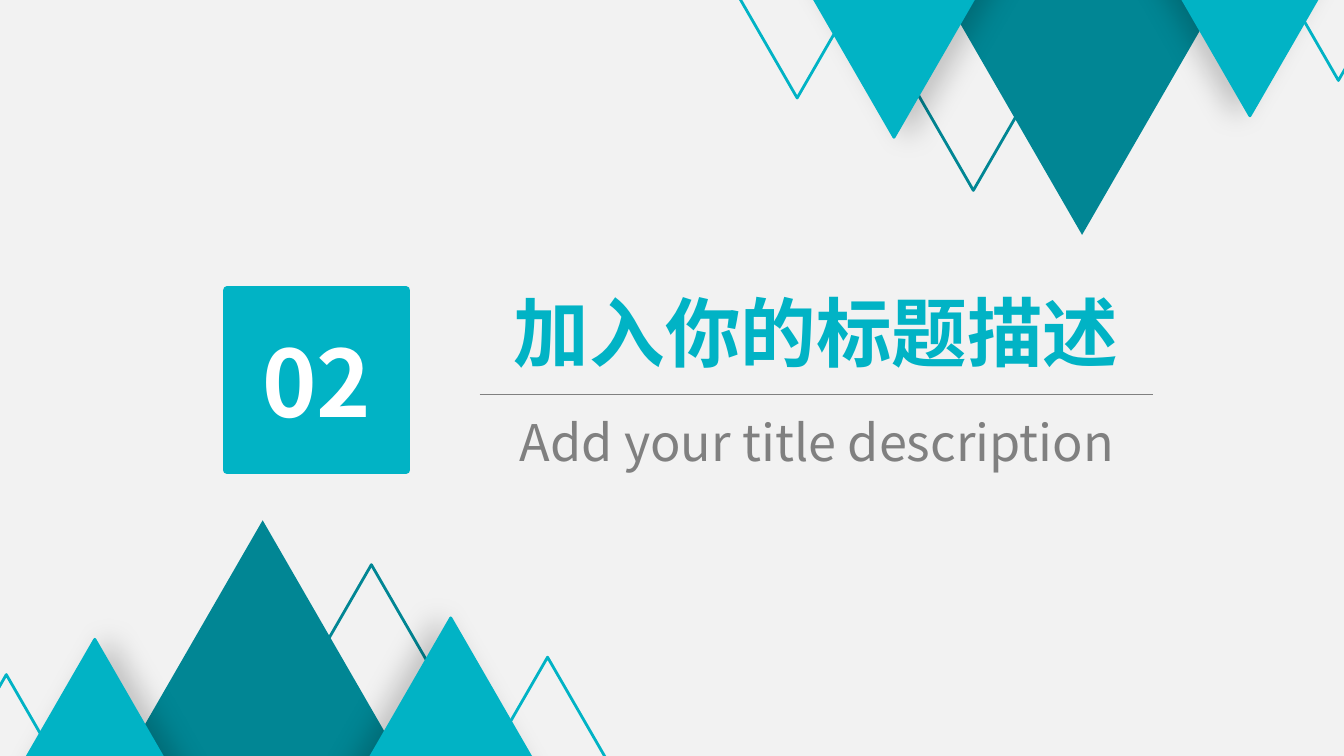
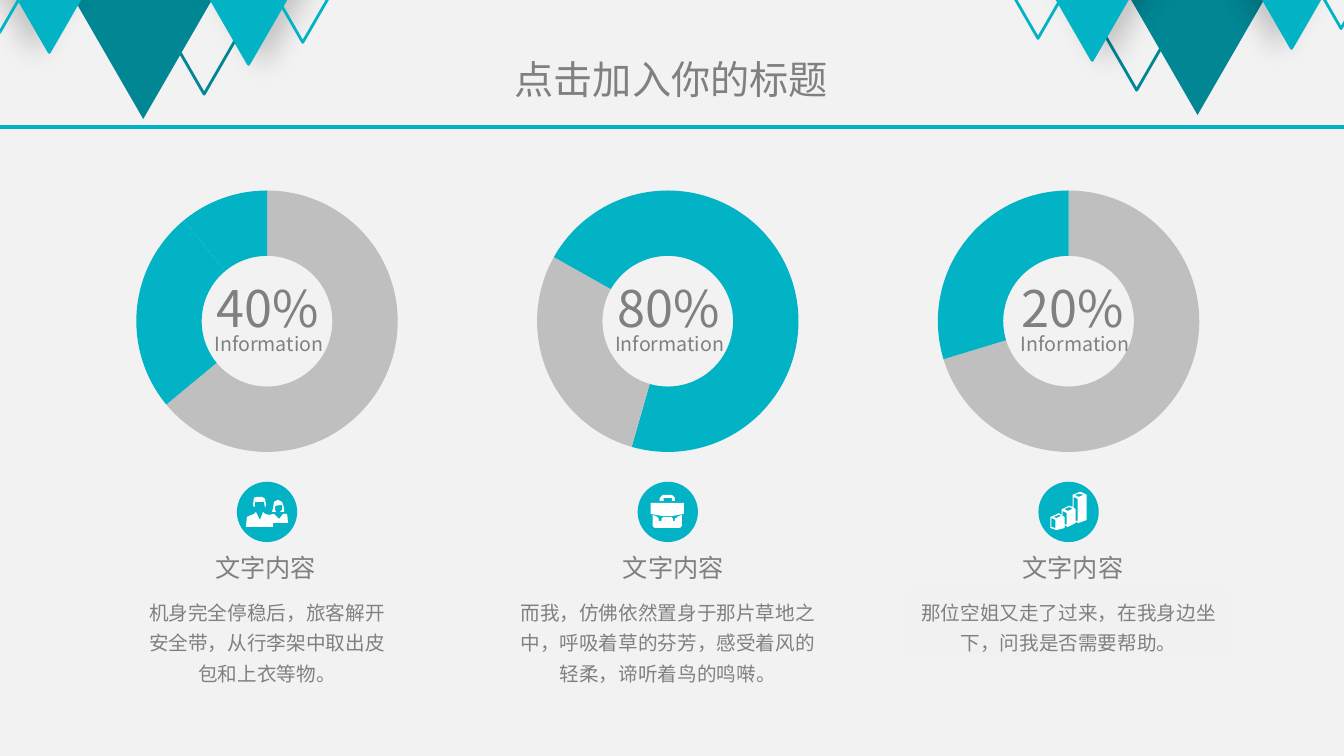
from lxml import etree
from pptx import Presentation
from pptx.chart.data import CategoryChartData
from pptx.dml.color import RGBColor
from pptx.enum import chart as ch, shapes as sh, text as tx
from pptx.oxml import parse_xml
from pptx.oxml.ns import nsdecls, qn
from pptx.util import Cm, Pt

HUE = {"back": "F2F2F2", "cyan": "01B3C5", "teal": "018694", "gray": "808080",
       "pale": "BFBFBF", "white": "FFFFFF", "panel": "F1F1F1"}
FONT = "Noto Sans CJK SC"
WIDE, HIGH = 33.87, 19.05

# Peaks, back to front: tip offset from the main tip, base width, colour,
# whether filled, and the shadow angle of an upright peak
PEAKS = [
    (0, 0, 14.4, "teal", True, None),
    (2.74, 1.12, 13.13, "teal", False, None),
    (4.74, 2.46, 12.85, "cyan", True, 180),
    (7.18, 3.45, 11.71, "cyan", False, None),
    (-4.23, 3.0, 11.63, "cyan", True, 0),
    (-6.46, 3.89, 10.59, "cyan", False, None),
]
RATIO = 0.867  # height to width of a peak
# Main tip, horizontal and vertical direction, scale
COVER = [(6.62, 13.11, 1, 1, 1), (27.27, 5.92, -1, -1, 1)]
INNER = [(30.18, 2.9, -1, -1, 0.56), (3.61, 3.0, 1, -1, 0.56)]

# Icon outlines on a grid of 60 by 60 units
PEOPLE = [
    [(10, 35), (17, 32), (19, 30), (23, 38), (26, 30), (28, 32), (32, 33),
     (37, 32), (42, 37), (46, 32), (50, 32), (51, 41), (36, 41), (36, 45), (9, 45)],
    [(38, 24), (45, 23), (45, 28), (43, 30), (47, 30), (47, 26), (45, 20),
     (41, 18), (37, 20), (36, 26), (35, 30), (39, 30), (38, 28)],
    [(18, 25), (18, 20), (27, 20), (28, 26), (29, 23), (28, 17), (25, 15),
     (20, 15), (17, 16), (16, 24)],
]
CASE = [
    [(44, 33), (44, 44), (42, 46), (17, 46), (15, 44), (15, 33), (20, 35), (20, 36),
     (21, 36), (21, 39), (24, 39), (24, 36), (25, 36), (25, 35), (34, 35), (34, 36),
     (35, 36), (35, 39), (37, 39), (37, 36), (39, 36), (39, 35)],
    [(25, 13), (34, 13), (37, 16), (37, 19), (34, 19), (34, 16), (26, 16),
     (26, 19), (22, 19), (22, 16)],
    [(13, 21), (13, 32), (24, 34), (35, 34), (46, 32), (46, 21)],
]
BARS = [
    [(23, 27), (24, 27), (30, 24), (31, 24), (34, 25), (34, 13), (41, 10), (42, 10),
     (48, 13), (48, 38), (40, 41), (37, 40), (37, 41), (29, 45), (26, 43), (26, 46),
     (18, 48), (12, 46), (12, 35), (19, 32), (20, 31), (26, 35), (26, 42), (28, 43),
     (28, 31), (24, 29), (24, 33), (23, 33)],
    [(36, 13), (40, 15), (45, 13), (41, 12)],
    [(17, 38), (13, 36), (13, 45), (17, 46)],
    [(26, 27), (29, 29), (34, 27), (31, 25)],
    [(35, 26), (37, 27), (37, 39), (39, 39), (39, 17), (35, 15)],
    [(15, 35), (18, 36), (23, 34), (20, 33)],
]

# Shifts move the percent, the caption and the heading off the column centre
COLUMNS = [
    dict(pct="40%", vals=(64, 25, 11), hues=("pale", "cyan", "cyan"), icon=PEOPLE,
         body="机身完全停稳后，旅客解开安全带，从行李架中取出皮包和上衣等物。",
         size=(6.93, 2.59), shifts=(0.05, 0.09, -0.04)),
    dict(pct="80%", vals=(55, 29, 17), hues=("cyan", "pale", "cyan"), icon=CASE,
         body="而我，仿佛依然置身于那片草地之中，呼吸着草的芬芳，感受着风的轻柔，谛听着鸟的鸣啭。",
         size=(8.08, 2.59), shifts=(0.05, 0.09, 0.14)),
    dict(pct="20%", vals=(61, 10, 30), hues=("pale", "pale", "cyan"), icon=BARS,
         body="那位空姐又走了过来，在我身边坐下，问我是否需要帮助。",
         size=(8.1, 1.75), shifts=(0.15, 0.21, 0.11), panel=True),
]
FIRST, PITCH = 6.73, 10.1


def rgb(hue):
    return RGBColor.from_string(HUE[hue])


def paint(shape, fill=None, line=None, width=2):
    if fill:
        shape.fill.solid()
        shape.fill.fore_color.rgb = rgb(fill)
    else:
        shape.fill.background()
    if line:
        shape.line.color.rgb = rgb(line)
        shape.line.width = Pt(width)
    else:
        shape.line.fill.background()
    shape.shadow.inherit = False


def preset(slide, kind, box, **look):
    shape = slide.shapes.add_shape(kind, *map(Cm, box))
    paint(shape, **look)
    return shape


def write(shape, words, size, hue="gray", align="CENTER", anchor="TOP",
          bold=False, wrap=False, grow=True, inset=None, space=None):
    frame = shape.text_frame
    frame.word_wrap = wrap
    frame.vertical_anchor = tx.MSO_ANCHOR[anchor]
    if grow:
        frame.auto_size = tx.MSO_AUTO_SIZE.SHAPE_TO_FIT_TEXT
    if inset is not None:
        for side in ("left", "top", "right", "bottom"):
            setattr(frame, "margin_" + side, Cm(inset))
    para = frame.paragraphs[0]
    para.alignment = tx.PP_ALIGN[align]
    if space:
        para.line_spacing = space
    run = para.add_run()
    run.text = words
    for key, val in dict(name=FONT, size=Pt(size), bold=bold).items():
        setattr(run.font, key, val)
    run.font.color.rgb = rgb(hue)
    east = etree.SubElement(run._r.get_or_add_rPr(), qn("a:ea"))
    east.set("typeface", FONT)


def label(slide, box, words, size, **look):
    write(slide.shapes.add_textbox(*map(Cm, box)), words, size, **look)


def rule(slide, left, right, top, hue, width):
    line = slide.shapes.add_connector(
        sh.MSO_CONNECTOR.STRAIGHT, Cm(left), Cm(top), Cm(right), Cm(top))
    line.line.color.rgb = rgb(hue)
    line.line.width = Pt(width)
    etree.SubElement(line._element.spPr, qn("a:effectLst"))


def shade(shape, angle):
    """Cast a soft black shadow towards the angle."""
    old = shape._element.spPr.find(qn("a:effectLst"))
    old.append(parse_xml(
        f'<a:outerShdw {nsdecls("a")} blurRad="{Pt(20)}" dist="{Pt(10)}" '
        f'dir="{angle * 60000}" algn="ctr" rotWithShape="0"><a:srgbClr val="000000">'
        '<a:alpha val="20000"/></a:srgbClr></a:outerShdw>'))


def range_of(slide, tip_x, tip_y, way_x, way_y, scale):
    """Draw one mountain range, hanging down when way_y is -1."""
    for dx, dy, width, hue, full, angle in PEAKS:
        wide = width * scale
        high = wide * RATIO
        left = tip_x + way_x * dx * scale - wide / 2
        top = tip_y + way_y * dy * scale - (high if way_y < 0 else 0)
        peak = preset(slide, sh.MSO_SHAPE.ISOSCELES_TRIANGLE, (left, top, wide, high),
                      fill=hue if full else None,
                      line=None if full and angle is None else hue)
        if way_y < 0:
            peak._element.spPr.xfrm.set("flipV", "1")
        if angle is not None:
            shade(peak, angle if way_y > 0 else 180 - angle)


def icon(slide, left, top, loops):
    unit = Cm(1.52) / 60
    pen = None
    for loop in loops:
        if pen is None:
            pen = slide.shapes.build_freeform(*loop[0], scale=unit)
        else:
            pen.move_to(*loop[0])
        pen.add_line_segments(loop[1:], close=True)
    paint(pen.convert_to_shape(Cm(left), Cm(top)), fill="white")


def ring(slide, mid, vals, hues):
    data = CategoryChartData()
    data.categories = ["1", "2", "3"]
    data.add_series("Series 1", vals)
    wide = 10.92
    chart = slide.shapes.add_chart(ch.XL_CHART_TYPE.DOUGHNUT, Cm(mid - wide / 2),
                                   Cm(4.45), Cm(wide), Cm(7.29), data).chart
    chart.has_legend = chart.has_title = False
    chart.font.name, chart.font.size = "Calibri", Pt(10)
    plot = chart.plots[0]
    plot.vary_by_categories = True
    plot._element.find(qn("c:holeSize")).set("val", "55")
    for at, hue in enumerate(hues):
        form = plot.series[0].points[at].format
        form.fill.solid()
        form.fill.fore_color.rgb = rgb(hue)
        form.line.fill.background()


def column(slide, mid, item):
    ring(slide, mid, item["vals"], item["hues"])
    rows = [(item["pct"], 36, 6.86, 3.15, 1.8, "LEFT"),
            ("Information", 14, 8.23, 3.33, 0.86, "LEFT"),
            ("文字内容", 18, 13.79, 3.07, 1.02, "CENTER")]
    for (words, size, top, wide, high, align), shift in zip(rows, item["shifts"]):
        label(slide, (mid + shift - wide / 2, top, wide, high), words, size, align=align)

    disc, top = 1.52, 12.14
    preset(slide, sh.MSO_SHAPE.OVAL, (mid - disc / 2, top, disc, disc), fill="cyan")
    icon(slide, mid - disc / 2, top, item["icon"])

    wide, high = item["size"]
    body = preset(slide, sh.MSO_SHAPE.RECTANGLE, (mid - wide / 2, 14.83, wide, high),
                  fill="panel" if item.get("panel") else None)
    if item.get("panel"):
        tint = body._element.spPr.find(qn("a:solidFill"))[0]
        etree.SubElement(tint, qn("a:alpha")).set("val", "52000")
    write(body, item["body"], 14, wrap=True, space=1.3)


def section(slide):
    for spot in COVER:
        range_of(slide, *spot)
    label(slide, (12.62, 7.06, 15.9, 2.57), "加入你的标题描述", 54,
          hue="cyan", bold=True, anchor="MIDDLE")
    label(slide, (12.5, 10.24, 16.18, 1.8), "Add your title description", 36)
    rule(slide, 12.09, 29.06, 9.93, "gray", 0.5)
    badge = preset(slide, sh.MSO_SHAPE.RECTANGLE, (5.72, 7.32, 4.52, 4.52),
                   fill="cyan", line="cyan", width=6)
    write(badge, "02", 66, hue="white", bold=True, anchor="MIDDLE", wrap=True, grow=False)


def figures(slide):
    label(slide, (12.14, 1.4, 9.55, 1.19), "点击加入你的标题", 28, wrap=True, inset=0)
    rule(slide, 0, WIDE, 3.2, "cyan", 3)
    for spot in INNER:
        range_of(slide, *spot)
    for at, item in enumerate(COLUMNS):
        column(slide, FIRST + at * PITCH, item)


def main():
    prs = Presentation()
    prs.slide_width, prs.slide_height = Cm(WIDE), Cm(HIGH)
    back = prs.slide_master.background.fill
    back.solid()
    back.fore_color.rgb = rgb("back")
    for draw in (section, figures):
        draw(prs.slides.add_slide(prs.slide_layouts[6]))
    prs.save("out.pptx")


if __name__ == "__main__":
    main()
